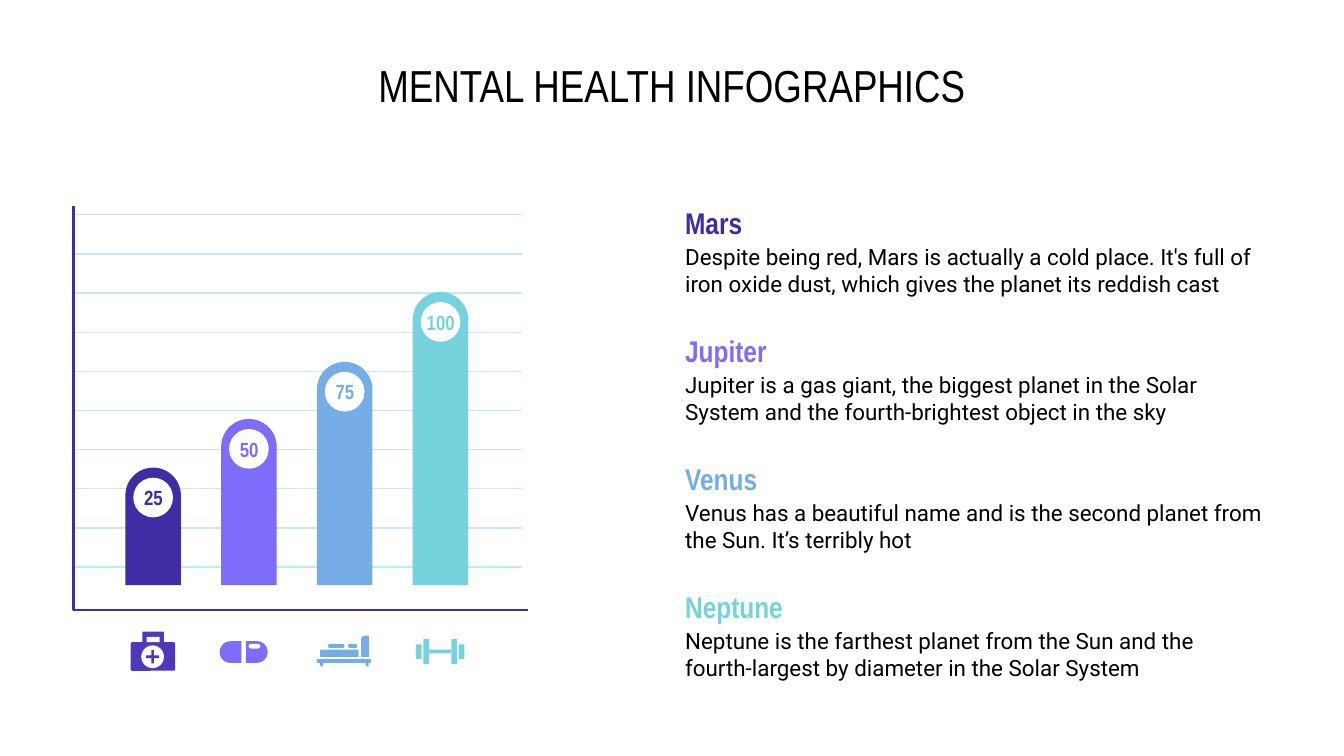
from lxml.etree import SubElement
from pptx import Presentation
from pptx.dml.color import RGBColor
from pptx.enum.shapes import MSO_CONNECTOR, MSO_SHAPE
from pptx.enum.text import MSO_ANCHOR, PP_ALIGN
from pptx.oxml.ns import qn
from pptx.util import Cm, Pt

BLACK = RGBColor(0x00, 0x00, 0x00)
WHITE = RGBColor(0xFF, 0xFF, 0xFF)
INDIGO = RGBColor(0x3F, 0x2D, 0xA5)
VIOLET = RGBColor(0x50, 0x38, 0xBC)
PURPLE = RGBColor(0x7E, 0x6C, 0xFB)
BLUE = RGBColor(0x77, 0xAD, 0xE6)
TEAL = RGBColor(0x74, 0xD3, 0xDC)
PALE_TEAL = RGBColor(0xC3, 0xEB, 0xEF)

HEADING_FONT = "Arial Narrow"
BODY_FONT = "Roboto"

# Planet, description, colour, value, top of the bar in cm
PLANETS = [
    ("Mars", "Despite being red, Mars is actually a cold place. It's full of "
     "iron oxide dust, which gives the planet its reddish cast", INDIGO, 25, 8.84),
    ("Jupiter", "Jupiter is a gas giant, the biggest planet in the Solar System "
     "and the fourth-brightest object in the sky", PURPLE, 50, 7.92),
    ("Venus", "Venus has a beautiful name and is the second planet from the Sun. "
     "It’s terribly hot", BLUE, 75, 6.84),
    ("Neptune", "Neptune is the farthest planet from the Sun and the "
     "fourth-largest by diameter in the Solar System", TEAL, 100, 5.52),
]
BAR_LEFT, BAR_STEP, BAR_WIDTH, BAR_BOTTOM = 2.37, 1.81, 1.05, 11.06
BADGE_SIZE = 0.75
TEXT_LEFT, TEXT_TOP, TEXT_STEP = 12.7, 3.89, 2.42
AXIS_LEFT, AXIS_TOP, AXIS_RIGHT, AXIS_BOTTOM = 1.39, 3.89, 9.98, 11.53
GRID_TOP, GRID_STEP, GRID_COUNT, GRID_RIGHT = 4.06, 0.74, 10, 9.86


def write_text(shape, text, *, font=HEADING_FONT, size=12, color=BLACK,
               bold=False, align=PP_ALIGN.LEFT):
    frame = shape.text_frame
    frame.word_wrap = True
    frame.vertical_anchor = MSO_ANCHOR.MIDDLE
    frame.margin_left = frame.margin_right = Cm(0.25)
    frame.margin_top = frame.margin_bottom = Cm(0.25)
    paragraph = frame.paragraphs[0]
    paragraph.alignment = align
    run = paragraph.add_run()
    run.text = text
    run.font.name = font
    run.font.size = Pt(size)
    run.font.bold = bold
    run.font.color.rgb = color


class SlideBuilder:
    """Draws elements on the current slide; lengths are centimetres."""

    def __init__(self, slide):
        self.slide = slide

    def text(self, left, top, width, height, text, **text_format):
        box = self.slide.shapes.add_textbox(Cm(left), Cm(top), Cm(width), Cm(height))
        write_text(box, text, **text_format)

    def shape(self, kind, left, top, width, height, color, adjustments=(), rotation=0):
        shape = self.slide.shapes.add_shape(
            kind, Cm(left), Cm(top), Cm(width), Cm(height))
        shape.shadow.inherit = False
        shape.fill.solid()
        shape.fill.fore_color.rgb = color
        shape.line.fill.background()
        shape.rotation = rotation
        for index, value in enumerate(adjustments):
            shape.adjustments[index] = value

    def rectangles(self, boxes, color):
        for box in boxes:
            self.shape(MSO_SHAPE.RECTANGLE, *box, color)

    def rounded_rectangles(self, boxes, color, corner=0.5):
        for box in boxes:
            self.shape(MSO_SHAPE.ROUNDED_RECTANGLE, *box, color, [corner])

    def line(self, left, right, y, color, width):
        connector = self.slide.shapes.add_connector(
            MSO_CONNECTOR.STRAIGHT, Cm(left), Cm(y), Cm(right), Cm(y))
        connector.line.color.rgb = color
        connector.line.width = Pt(width)
        SubElement(connector.element.spPr, qn("a:effectLst"))

    def polyline(self, points, color, width):
        start, *others = [(Cm(x), Cm(y)) for x, y in points]
        builder = self.slide.shapes.build_freeform(*start)
        builder.add_line_segments(others, close=False)
        shape = builder.convert_to_shape()
        shape.shadow.inherit = False
        shape.fill.background()
        shape.line.color.rgb = color
        shape.line.width = Pt(width)

    def bar(self, left, top, value, color):
        self.shape(MSO_SHAPE.ROUND_2_SAME_RECTANGLE, left, top, BAR_WIDTH,
                   BAR_BOTTOM - top, color, [0.5, 0])
        self.shape(MSO_SHAPE.OVAL, left + (BAR_WIDTH - BADGE_SIZE) / 2, top + 0.19,
                   BADGE_SIZE, BADGE_SIZE, WHITE)
        self.text(left - 0.12, top + 0.22, 1.3, 0.69, str(value), size=11,
                  color=color, bold=True, align=PP_ALIGN.CENTER)

    def first_aid_icon(self):
        handle, case = (2.69, 11.94, 0.41, 0.3), (2.47, 12.14, 0.84, 0.54)
        self.rounded_rectangles([handle, case], VIOLET, corner=0.06)
        self.rectangles([(2.77, 12.04, 0.25, 0.1)], WHITE)
        self.shape(MSO_SHAPE.OVAL, 2.67, 12.2, 0.43, 0.43, WHITE)
        self.shape(MSO_SHAPE.CROSS, 2.76, 12.29, 0.25, 0.25, VIOLET, [0.4])

    def capsule_icon(self):
        for left, rotation in [(4.15, 180), (4.65, 0)]:
            self.shape(MSO_SHAPE.FLOWCHART_DELAY, left, 12.12, 0.41, 0.41,
                       PURPLE, rotation=rotation)
        self.rounded_rectangles([(4.7, 12.17, 0.22, 0.09)], WHITE)

    def bed_icon(self):
        mattress, frame = (6.05, 12.28, 0.73, 0.14), (5.99, 12.46, 1.02, 0.07)
        feet = [(left, 12.53, 0.06, 0.07) for left in (6.05, 6.91)]
        self.rectangles([mattress, frame, *feet], BLUE)
        self.shape(MSO_SHAPE.ROUND_1_RECTANGLE, 6.7, 12.14, 0.4, 0.15,
                   BLUE, [0.5], rotation=270)
        self.rounded_rectangles(
            [(6.58, 12.17, 0.17, 0.08), (6.2, 12.17, 0.31, 0.08)], BLUE)

    def dumbbell_icon(self):
        large_plates = [(left, 12.08, 0.11, 0.47) for left in (8, 8.53)]
        small_plates = [(left, 12.18, 0.11, 0.28) for left in (7.86, 8.67)]
        handle = (8.1, 12.28, 0.43, 0.07)
        self.rectangles([handle, *large_plates, *small_plates], TEAL)


def main():
    presentation = Presentation()
    presentation.slide_width = Cm(25.4)
    presentation.slide_height = Cm(14.29)
    builder = SlideBuilder(presentation.slides.add_slide(presentation.slide_layouts[6]))

    # Title
    builder.text(1.27, 1.14, 22.86, 0.91, "MENTAL HEALTH INFOGRAPHICS",
                 size=24, align=PP_ALIGN.CENTER)

    # Grid and axes
    for index in range(GRID_COUNT):
        builder.line(AXIS_LEFT, GRID_RIGHT, GRID_TOP + index * GRID_STEP, PALE_TEAL, 0.75)
    builder.polyline([(AXIS_LEFT, AXIS_TOP), (AXIS_LEFT, AXIS_BOTTOM),
                      (AXIS_RIGHT, AXIS_BOTTOM)], INDIGO, 1.5)

    # Icons under the bars
    builder.first_aid_icon()
    builder.capsule_icon()
    builder.bed_icon()
    builder.dumbbell_icon()

    # Bars and descriptions
    for index, (planet, description, color, value, bar_top) in enumerate(PLANETS):
        text_top = TEXT_TOP + index * TEXT_STEP
        builder.text(TEXT_LEFT, text_top, 5.44, 0.64, planet,
                     size=16, color=color, bold=True)
        builder.text(TEXT_LEFT, text_top + 0.64, 11.43, 1.14, description, font=BODY_FONT)
        builder.bar(BAR_LEFT + index * BAR_STEP, bar_top, value, color)

    presentation.save("out.pptx")


if __name__ == "__main__":
    main()
